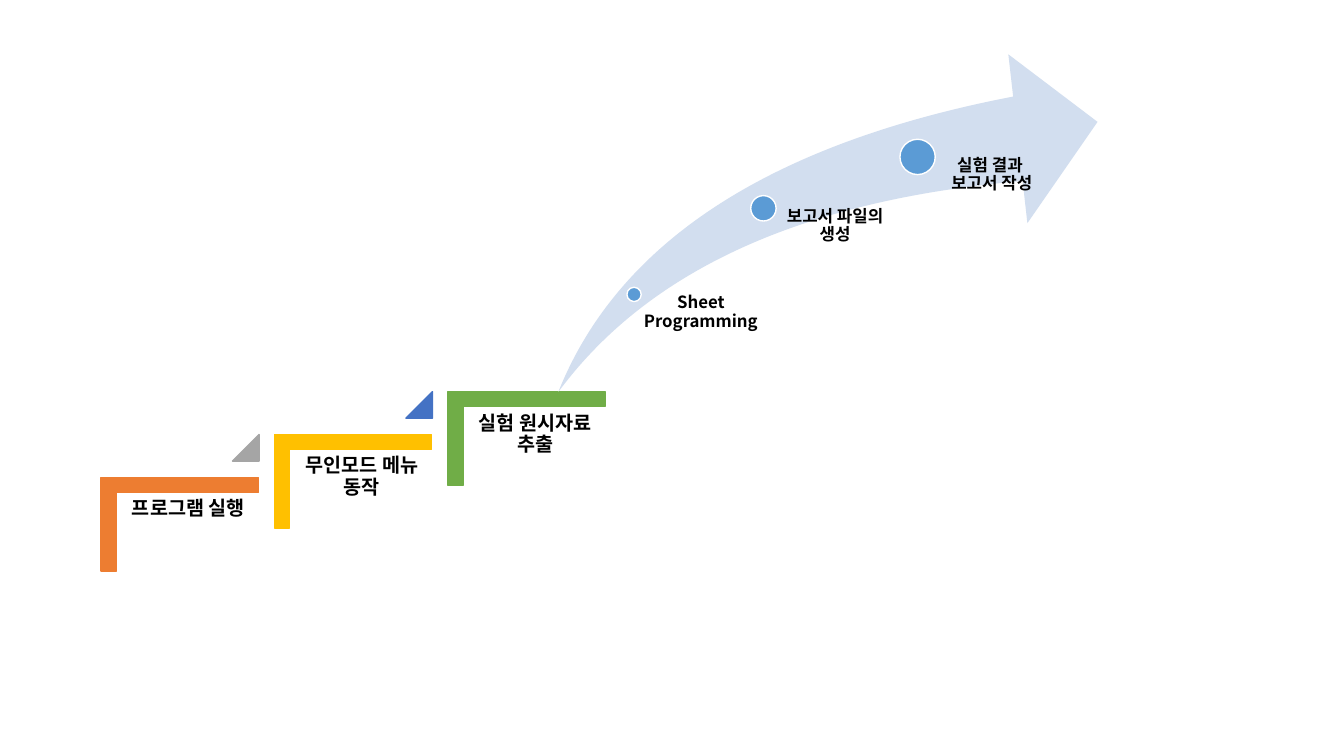
import pptx
import pptx.util
import pptx.dml.color
import pptx.enum.shapes
import pptx.enum.text
import pptx.oxml.ns
import lxml.etree

Cm = pptx.util.Cm
Pt = pptx.util.Pt
SHAPES = pptx.enum.shapes.MSO_SHAPE
FONT = "Noto Sans CJK KR"
COLORS = {
    "text": "000000", "white": "FFFFFF", "arrow": "D2DEEF", "dot": "5B9BD5",
    "orange": "ED7D31", "gray": "A5A5A5", "yellow": "FFC000",
    "blue": "4472C4", "green": "70AD47",
}

STEPS = [
    ("프로그램 실행", "orange", "gray"),
    ("무인모드 메뉴 동작", "yellow", "blue"),
    ("실험 원시자료 추출", "green", None),
]
MILESTONES = [
    ("Sheet Programming", 15.8, 7.24, 0.36, 3.18),
    ("보고서 파일의\v생성", 18.92, 4.93, 0.64, 3.28),
    ("실험 결과 \v보고서 작성", 22.68, 3.51, 0.89, 3.28),
]

STEP_LEFT, STEP_TOP = 3.35, 11.23
STEP_RUN, STEP_RISE = 4.37, 1.08
ARROW_LEFT, ARROW_TOP, ARROW_WIDTH, ARROW_HEIGHT = 14.07, 1.37, 13.59, 8.51

presentation = pptx.Presentation()
presentation.slide_width = Cm(33.87)
presentation.slide_height = Cm(19.05)
slide = presentation.slides.add_slide(presentation.slide_layouts[6])


def color(name):
    return pptx.dml.color.RGBColor.from_string(COLORS[name])


def add_shape(kind, left, top, width, height, fill, line=None, adjustments=()):
    shape = slide.shapes.add_shape(kind, Cm(left), Cm(top), Cm(width), Cm(height))
    shape.shadow.inherit = False
    for index, value in enumerate(adjustments):
        shape.adjustments[index] = value
    shape.fill.solid()
    shape.fill.fore_color.rgb = color(fill)
    if line:
        shape.line.color.rgb = color(line)
        shape.line.width = Pt(1)
    else:
        shape.line.fill.background()
    return shape


def add_label(text, left, top, width, height, size, insets):
    frame = slide.shapes.add_textbox(Cm(left), Cm(top), Cm(width), Cm(height)).text_frame
    frame.word_wrap = True
    frame.margin_left, frame.margin_top, frame.margin_right, frame.margin_bottom = map(Cm, insets)
    frame.text = text
    paragraph = frame.paragraphs[0]
    paragraph.alignment = pptx.enum.text.PP_ALIGN.CENTER
    paragraph.line_spacing = 0.9
    for run in paragraph.runs:
        run.font.size = Pt(size)
        run.font.bold = True
        run.font.color.rgb = color("text")
        run.font.name = FONT
        east_asian = lxml.etree.SubElement(run.font._element, pptx.oxml.ns.qn("a:ea"))
        east_asian.set("typeface", FONT)


for index, (text, corner_color, triangle_color) in enumerate(STEPS):
    left = STEP_LEFT + index * STEP_RUN
    top = STEP_TOP - index * STEP_RISE
    corner = add_shape(SHAPES.CORNER, left, top, 2.36, 3.96,
                       corner_color, corner_color, (0.161, 0.161))
    corner.rotation = 90
    add_label(text, left - 0.38, top + 1.18, 3.56, 3.12, 14, (0.16,) * 4)
    if triangle_color:
        add_shape(SHAPES.ISOSCELES_TRIANGLE, left + 2.51, top - 0.28, 0.67, 0.67,
                  triangle_color, triangle_color, (1,))

add_shape(SHAPES.SWOOSH_ARROW, ARROW_LEFT, ARROW_TOP, ARROW_WIDTH, ARROW_HEIGHT,
          "arrow", adjustments=(0.25, 0.25))

for text, left, top, diameter, width in MILESTONES:
    add_shape(SHAPES.OVAL, left, top, diameter, diameter, "dot", "white")
    label_top = top + diameter / 2
    add_label(text, left + diameter / 2, label_top, width,
              ARROW_TOP + ARROW_HEIGHT - label_top, 12, (diameter * 0.52, 0, 0, 0))

presentation.save("out.pptx")
